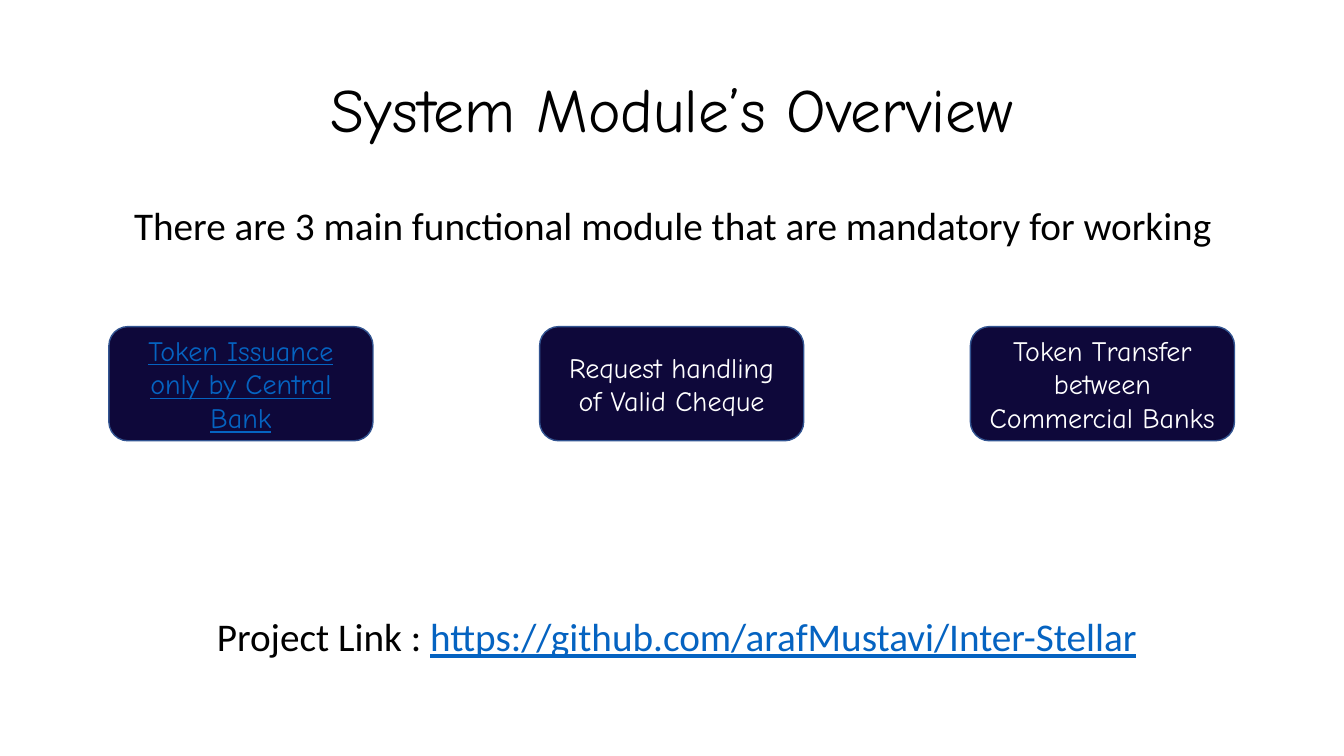
from pptx import Presentation
from pptx import util as u
from pptx.dml.color import RGBColor
from pptx.enum import shapes, text

WIDE, HIGH = u.Inches(13.33), u.Inches(7.5)
BLACK = RGBColor(0x00, 0x00, 0x00)
WHITE = RGBColor(0xFF, 0xFF, 0xFF)
NAVY = RGBColor(0x0E, 0x08, 0x3A)
EDGE = RGBColor(0x32, 0x54, 0x91)
LINK = RGBColor(0x05, 0x63, 0xC1)
MID = text.MSO_ANCHOR.MIDDLE
TOP = text.MSO_ANCHOR.TOP

MODULES = [
    ([[("Token Issuance only by Central Bank", LINK)]]),
    ([[("Request handling", WHITE)], [("of Valid Cheque", WHITE)]]),
    ([[("Token Transfer between Commercial Banks", WHITE)]]),
]


def area(left, top, width, height):
    return (u.Emu(int(left * WIDE)), u.Emu(int(top * HIGH)),
            u.Emu(int(width * WIDE)), u.Emu(int(height * HIGH)))


def write(shape, lines, size=28, font="Calibri", anchor=TOP, space=0.9):
    frame = shape.text_frame
    frame.word_wrap = True
    frame.auto_size = text.MSO_AUTO_SIZE.NONE
    frame.vertical_anchor = anchor
    for row, parts in enumerate(lines):
        para = frame.add_paragraph() if row else frame.paragraphs[0]
        para.alignment = text.PP_ALIGN.CENTER
        para.line_spacing = space
        for words, color in parts:
            run = para.add_run()
            run.text = words
            run.font.name = font
            run.font.size = u.Pt(size)
            run.font.color.rgb = color
            if color == LINK:
                run.font.underline = True


def add_title(slide, words):
    title = slide.shapes.title
    title.left, title.top, title.width, title.height = area(0.069, 0.053, 0.863, 0.193)
    write(title, [[(words, BLACK)]], size=44, font="Comic Neue", anchor=MID)


def add_note(slide, left, top, parts):
    box = slide.shapes.add_textbox(*area(left, top, 0.863, 0.081))
    write(box, [parts])


def add_card(slide, col, lines):
    place = area(0.081 + col * 0.3205, 0.432, 0.1965, 0.151)
    card = slide.shapes.add_shape(shapes.MSO_SHAPE.ROUNDED_RECTANGLE, *place)
    card.shadow.inherit = False
    card.fill.solid()
    card.fill.fore_color.rgb = NAVY
    card.line.color.rgb = EDGE
    card.line.width = u.Pt(1)
    write(card, lines, size=20, font="Comic Neue", anchor=MID, space=1.0)


def main():
    deck = Presentation()
    deck.slide_width, deck.slide_height = WIDE, HIGH
    slide = deck.slides.add_slide(deck.slide_layouts.get_by_name("Title Only"))
    add_title(slide, "System Module’s Overview")
    add_note(slide, 0.069, 0.267, [
        ("There are 3 main functional module that are mandatory for working", BLACK)])
    for col, lines in enumerate(MODULES):
        add_card(slide, col, lines)
    add_note(slide, 0.072, 0.811, [
        ("Project Link : ", BLACK),
        ("https://github.com/arafMustavi/Inter-Stellar", LINK)])
    deck.save("out.pptx")


if __name__ == "__main__":
    main()
